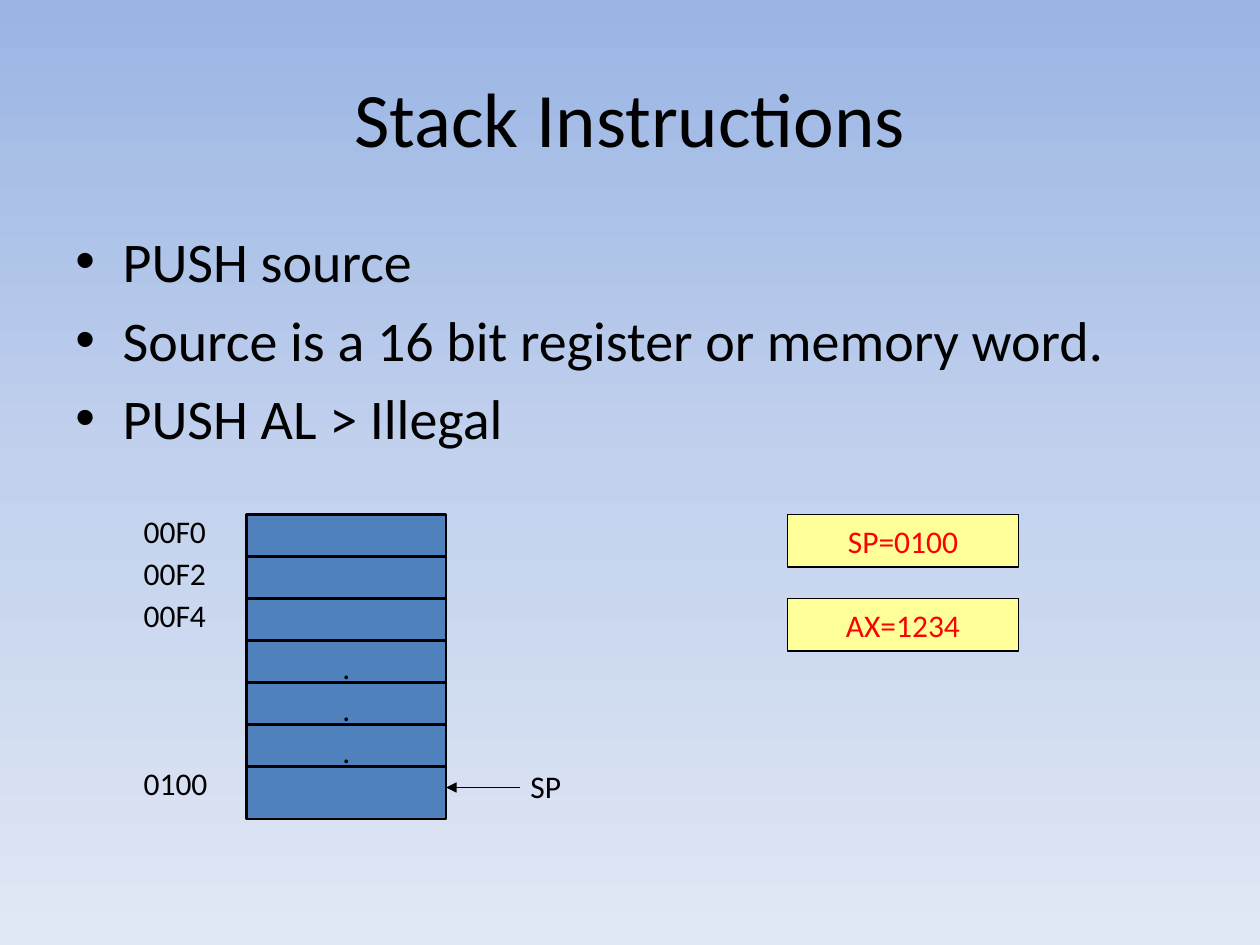
from copy import deepcopy

from lxml import etree
from pptx import Presentation
from pptx.dml.color import RGBColor
from pptx.enum.shapes import MSO_CONNECTOR, MSO_SHAPE
from pptx.enum.text import MSO_ANCHOR as ANCHOR, PP_ALIGN as ALIGN
from pptx.oxml.ns import qn
from pptx.util import Pt

COLORS = {
    "text": "000000",
    "line": "000000",
    "cell": "4F81BD",
    "register": "FFFF99",
    "value": "FF0000",
}
BACKGROUND = [(0, "9AB5E4"), (50, "C2D1ED"), (100, "E1E8F5")]
ROW_STEP, BOX_HEIGHT, STACK_TOP = 24, 30, 294
STACK_LEFT, STACK_WIDTH = 141, 114


def rgb(name):
    return RGBColor.from_string(COLORS[name])


def write(tf, text, font="Calibri", size=18, color="text", align=ALIGN.LEFT,
          anchor=ANCHOR.TOP, wrap=True, before=0, bullet=None, indent=27):
    tf.word_wrap = wrap
    tf.vertical_anchor = anchor
    for i, line in enumerate(text.split("\n")):
        p = tf.paragraphs[0] if i == 0 else tf.add_paragraph()
        p.alignment = align
        p.space_before = Pt(before)
        if bullet:
            pPr = p._p.get_or_add_pPr()
            pPr.set("marL", str(Pt(indent)))
            pPr.set("indent", str(-Pt(indent)))
            etree.SubElement(pPr, qn("a:buFont")).set("typeface", "Arial")
            etree.SubElement(pPr, qn("a:buChar")).set("char", bullet)
        r = p.add_run()
        r.text = line
        r.font.name = font
        r.font.size = Pt(size)
        r.font.color.rgb = rgb(color)


class Deck:
    def __init__(self, width, height):
        self.prs = Presentation()
        self.prs.slide_width, self.prs.slide_height = Pt(width), Pt(height)
        self.slide = None

    def add_slide(self):
        self.slide = self.prs.slides.add_slide(self.prs.slide_layouts[5])

    def background(self, stops):
        fill = self.slide.background.fill
        fill.gradient()
        fill.gradient_angle = 270
        gs_list = self.slide._element.find(".//" + qn("a:gsLst"))
        gs_list.insert(1, deepcopy(gs_list[0]))
        for gs, (position, color) in zip(gs_list, stops):
            gs.set("pos", str(position * 1000))
            for child in list(gs):
                gs.remove(child)
            etree.SubElement(gs, qn("a:srgbClr")).set("val", color)

    def title(self, text, x, y, w, h):
        sp = self.slide.shapes.title
        sp.left, sp.top, sp.width, sp.height = map(Pt, (x, y, w, h))
        write(sp.text_frame, text, size=44, align=ALIGN.CENTER, anchor=ANCHOR.MIDDLE)

    def text(self, text, x, y, w, h, **style):
        sp = self.slide.shapes.add_textbox(*map(Pt, (x, y, w, h)))
        write(sp.text_frame, text, **style)

    def box(self, text, x, y, w, h, fill, weight, color="text"):
        sp = self.slide.shapes.add_shape(MSO_SHAPE.RECTANGLE, *map(Pt, (x, y, w, h)))
        sp.shadow.inherit = False
        sp.fill.solid()
        sp.fill.fore_color.rgb = rgb(fill)
        sp.line.color.rgb = rgb("line")
        sp.line.width = Pt(weight)
        if text:
            write(sp.text_frame, text, color=color, align=ALIGN.CENTER,
                  anchor=ANCHOR.MIDDLE, wrap=False)

    def arrow(self, x1, y1, x2, y2, weight=0.75):
        line = self.slide.shapes.add_connector(
            MSO_CONNECTOR.STRAIGHT, *map(Pt, (x1, y1, x2, y2)))
        line.line.color.rgb = rgb("line")
        line.line.width = Pt(weight)
        etree.SubElement(line.line._get_or_add_ln(), qn("a:tailEnd")).set("type", "triangle")
        etree.SubElement(line._element.spPr, qn("a:effectLst"))


def main():
    deck = Deck(720, 540)
    deck.add_slide()
    deck.background(BACKGROUND)
    deck.title("Stack Instructions", 36, 21.6, 648, 90)
    deck.text("PUSH source\nSource is a 16 bit register or memory word.\nPUSH AL > Illegal",
              36, 126, 648, 356.4, size=32, before=6.4, bullet="•")

    for row, content in enumerate(["", "", "", ".", ".", ".", ""]):
        deck.box(content, STACK_LEFT, STACK_TOP + row * ROW_STEP, STACK_WIDTH, BOX_HEIGHT,
                 fill="cell", weight=1.5)
    for row, address in {0: "00F0", 1: "00F2", 2: "00F4", 6: "0100"}.items():
        deck.text(address, 75, STACK_TOP - 4.75 + row * ROW_STEP, 54, 29)

    pointer_y = 450
    deck.arrow(297, pointer_y, STACK_LEFT + STACK_WIDTH, pointer_y)
    deck.text("SP", 296, pointer_y - 15, 34.5, 29, wrap=False)

    for i, register in enumerate(["SP=0100", "AX=1234"]):
        deck.box(register, 450, STACK_TOP + i * 2 * ROW_STEP, 132, BOX_HEIGHT,
                 fill="register", weight=0.75, color="value")
    deck.prs.save("out.pptx")


if __name__ == "__main__":
    main()
